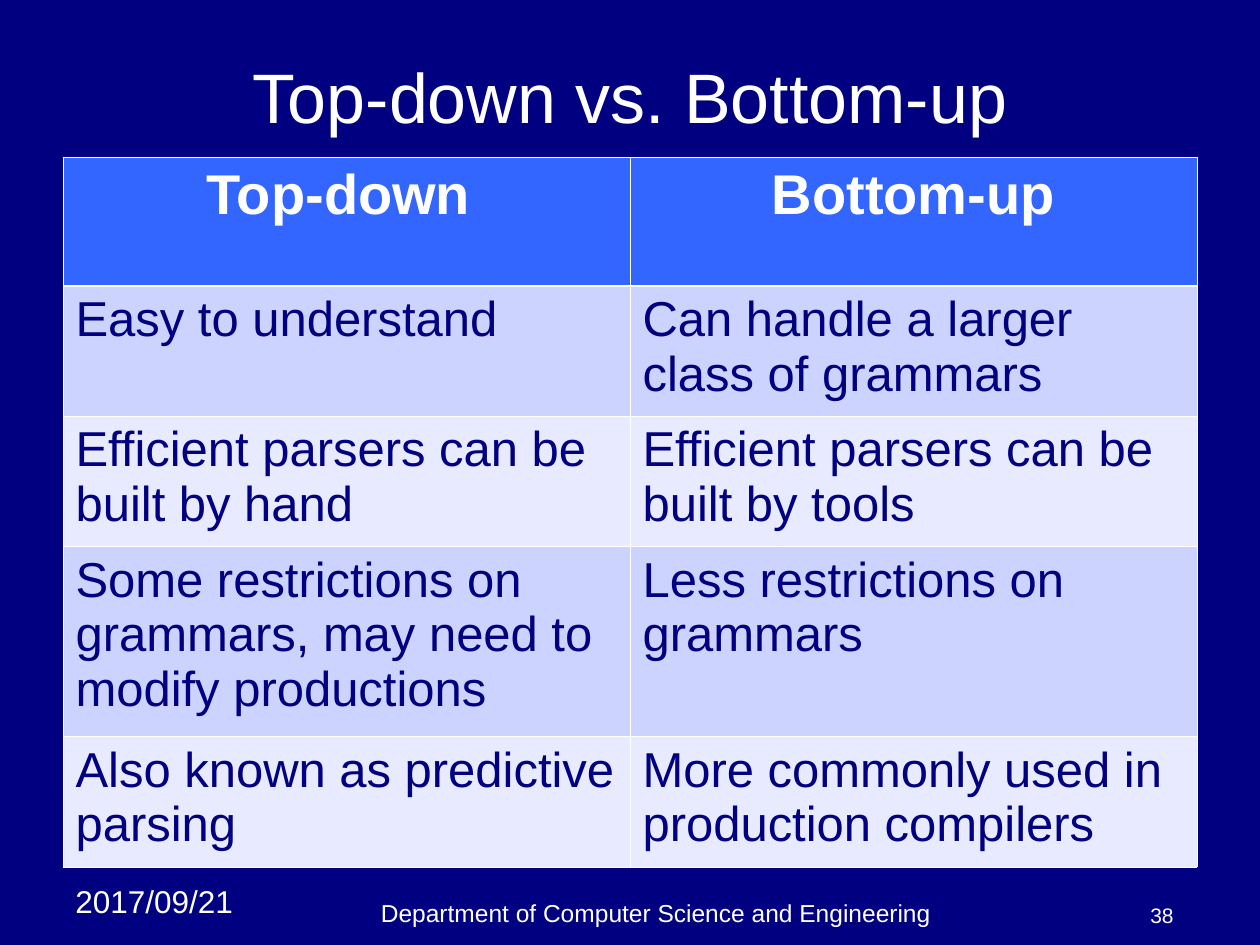
import pptx
import pptx.util
import pptx.dml.color
import pptx.enum.text
import pptx.oxml
import pptx.oxml.ns

RGB = pptx.dml.color.RGBColor
ALIGN = pptx.enum.text.PP_ALIGN
ANCHOR = pptx.enum.text.MSO_ANCHOR
NAVY = RGB(0x00, 0x00, 0x80)
WHITE = RGB(0xFF, 0xFF, 0xFF)
BLUE = RGB(0x33, 0x66, 0xFF)
DARK = RGB(0xCD, 0xD3, 0xFF)
PALE = RGB(0xE8, 0xEA, 0xFF)
SCALE = 914400 / 126


def place(*sizes):
    return [pptx.util.Emu(round(size * SCALE)) for size in sizes]


def write(frame, text, size, color, align, bold=False):
    para = frame.paragraphs[0]
    para.alignment = align
    run = para.add_run()
    run.text = text
    run.font.name = "Arial"
    run.font.size = pptx.util.Pt(size)
    run.font.bold = bold
    run.font.color.rgb = color


deck = pptx.Presentation()
deck.slide_width, deck.slide_height = place(1260, 945)
slide = deck.slides.add_slide(deck.slide_layouts[5])
slide.background.fill.solid()
slide.background.fill.fore_color.rgb = NAVY

title = slide.shapes.title
title.left, title.top, title.width, title.height = place(63, 38, 1134, 116)
title.text_frame.vertical_anchor = ANCHOR.MIDDLE
write(title.text_frame, "Top-down vs. Bottom-up", 40, WHITE, ALIGN.CENTER)

notes = [
    ("2017/09/21", (63, 876, 199, 50), 18, ALIGN.LEFT, ANCHOR.TOP),
    ("Department of Computer Science and Engineering",
     (231, 892, 850, 42), 14, ALIGN.CENTER, ANCHOR.BOTTOM),
    ("38", (1102, 892, 84, 42), 12, ALIGN.RIGHT, ANCHOR.BOTTOM),
]
for text, area, size, align, anchor in notes:
    frame = slide.shapes.add_textbox(*place(*area)).text_frame
    frame.word_wrap = True
    frame.vertical_anchor = anchor
    write(frame, text, size, WHITE, align)

rows = [
    ("Top-down ", "Bottom-up"),
    ("Easy to understand", "Can handle a larger class of grammars"),
    ("Efficient parsers can be built by hand",
     "Efficient parsers can be built by tools"),
    ("Some restrictions on grammars, may need to modify productions",
     "Less restrictions on grammars"),
    ("Also known as predictive parsing",
     "More commonly used in production compilers"),
]
highs = [129, 130, 130, 190, 130]
table = slide.shapes.add_table(
    len(rows), 2, *place(63, 157, 1134, sum(highs))).table
for row, high in zip(table.rows, highs):
    row.height = place(high)[0]

for r, texts in enumerate(rows):
    head = r == 0
    for c, text in enumerate(texts):
        cell = table.cell(r, c)
        props = cell._tc.get_or_add_tcPr()
        for side in "LRTB":
            thick = (r, side) in [(0, "B"), (1, "T")]
            width = pptx.util.Pt(1.47 if thick else 0.45)
            props.append(pptx.oxml.parse_xml(
                f'<a:ln{side} {pptx.oxml.ns.nsdecls("a")} w="{width}">'
                f'<a:solidFill><a:srgbClr val="{WHITE}"/></a:solidFill>'
                f'</a:ln{side}>'))
        cell.fill.solid()
        cell.fill.fore_color.rgb = BLUE if head else (PALE, DARK)[r % 2]
        write(cell.text_frame, text, 32 if head else 28,
              WHITE if head else NAVY,
              ALIGN.CENTER if head else ALIGN.LEFT, head)

deck.save("out.pptx")
